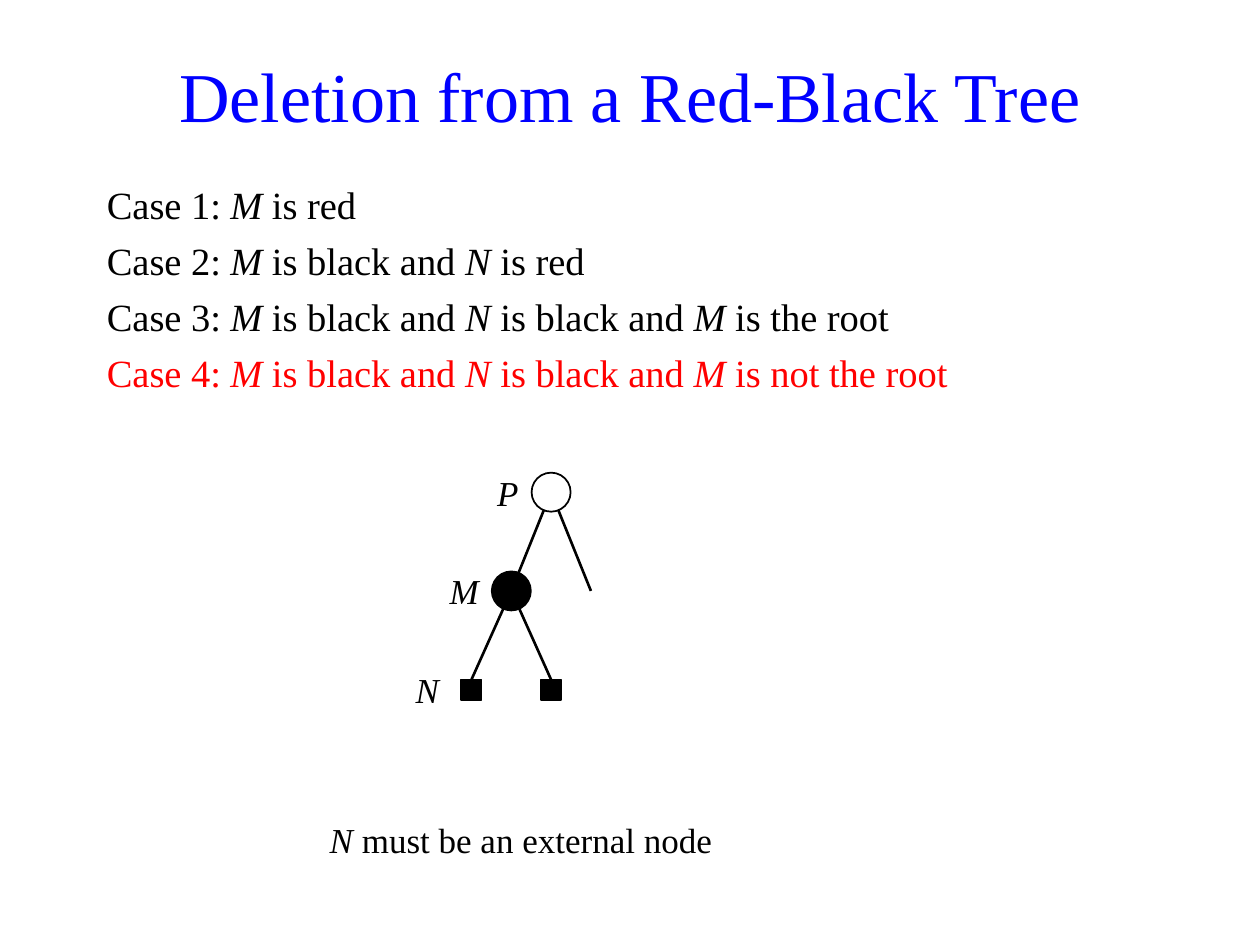
from lxml import etree
from pptx import Presentation
from pptx.dml.color import RGBColor
from pptx.enum.shapes import MSO_CONNECTOR, MSO_SHAPE
from pptx.enum.text import MSO_ANCHOR, PP_ALIGN
from pptx.oxml.ns import qn
from pptx.util import Inches, Pt

LEFT, CENTER, RIGHT = PP_ALIGN.LEFT, PP_ALIGN.CENTER, PP_ALIGN.RIGHT
TOP, MIDDLE = MSO_ANCHOR.TOP, MSO_ANCHOR.MIDDLE
STRAIGHT = MSO_CONNECTOR.STRAIGHT
OVAL, RECTANGLE = MSO_SHAPE.OVAL, MSO_SHAPE.RECTANGLE
FONT = "Times New Roman"
BLACK, WHITE, BLUE, RED = "000000", "FFFFFF", "0000FF", "FF0000"
VARIABLES = {"M", "N", "P"}
CASES = [
    ("Case 1:\tM is red", BLACK),
    ("Case 2:\tM is black and N is red", BLACK),
    ("Case 3:\tM is black and N is black and M is the root", BLACK),
    ("Case 4:\tM is black and N is black and M is not the root", RED),
]


def color(value):
    """Turn a hex string into a colour."""
    return RGBColor.from_string(value)


def add_text_box(page, box, anchor):
    """Add an empty wrapping text box and return its text frame."""
    frame = page.shapes.add_textbox(*map(Inches, box)).text_frame
    frame.word_wrap = True
    frame.vertical_anchor = anchor
    return frame


def write(para, text, size, ink=BLACK, align=LEFT):
    """Write text into a paragraph, setting the tree's variables in italics."""
    para.alignment = align
    para.font.name = FONT
    para.font.size = Pt(size)
    para.font.color.rgb = color(ink)
    label, tab, sentence = text.rpartition("\t")
    if tab:
        para.add_run().text = label + tab
    for index, word in enumerate(sentence.split(" ")):
        if index:
            para.add_run().text = " "
        span = para.add_run()
        span.text = word
        if word in VARIABLES:
            span.font.italic = True


def add_line_of_text(page, box, text, size, ink=BLACK, align=CENTER):
    """Add one vertically centred line of text."""
    write(add_text_box(page, box, MIDDLE).paragraphs[0], text, size, ink, align)


def add_cases(page, box):
    """List the deletion cases with a hanging indent."""
    frame = add_text_box(page, box, TOP)
    for index, (text, ink) in enumerate(CASES):
        para = frame.add_paragraph() if index else frame.paragraphs[0]
        properties = para._p.get_or_add_pPr()
        properties.set("marL", str(Inches(0.98)))
        properties.set("indent", str(-Inches(0.98)))
        if index:
            para.space_before = Pt(5.5)
        write(para, text, 22, ink)


def add_node(page, center, kind, size, fill):
    """Add a tree node around its centre."""
    x, y = center
    node = page.shapes.add_shape(
        kind, *map(Inches, (x - size / 2, y - size / 2, size, size)))
    node.shadow.inherit = False
    node.fill.solid()
    node.fill.fore_color.rgb = color(fill)
    node.line.color.rgb = color(BLACK)
    node.line.width = Pt(1)
    return node


def add_edge(page, start, end, leaf=None):
    """Draw a tree edge, joined to the top of a leaf where there is one."""
    edge = page.shapes.add_connector(STRAIGHT, *map(Inches, (*start, *end)))
    edge.line.color.rgb = color(BLACK)
    edge.line.width = Pt(1.5)
    etree.SubElement(edge._element.spPr, qn("a:effectLst"))
    if leaf is not None:
        edge.end_connect(leaf, 0)


def add_tree(page, box):
    """Draw parent P, node M and its two external children."""
    left, top, width, height = box
    step = width / 5
    row_gap = height / 2 - step

    def spot(column, row):
        """Return the centre of a grid position."""
        return left + column * step, top + step + row * row_gap

    parent, node, sibling = spot(4, 0), spot(3, 1), spot(5, 1)
    leaves = [spot(2, 2), spot(4, 2)]
    for end in (node, sibling):
        add_edge(page, parent, end)
    for center in leaves:
        leaf = add_node(page, center, RECTANGLE, 0.16, BLACK)
        add_edge(page, node, center, leaf)
    add_node(page, node, OVAL, 0.31, BLACK)
    add_node(page, parent, OVAL, 0.31, WHITE)
    for name, (x, y) in zip("PMN", (parent, node, leaves[0])):
        label_box = (x - 0.63, y - step, 0.47, 2 * step)
        add_line_of_text(page, label_box, name, 20, align=RIGHT)


def main():
    """Build and save the slide."""
    deck = Presentation()
    deck.slide_width, deck.slide_height = Inches(10), Inches(7.5)
    page = deck.slides.add_slide(deck.slide_layouts[6])
    add_line_of_text(page, (0.43, 0.28, 9.14, 0.94),
                     "Deletion from a Red-Black Tree", 40, BLUE)
    add_cases(page, (0.75, 1.39, 8.5, 1.89))
    add_tree(page, (3.11, 3.59, 1.58, 2.2))
    add_line_of_text(page, (2.48, 6.43, 3.31, 0.47),
                     "N must be an external node", 20)
    deck.save("out.pptx")


if __name__ == "__main__":
    main()
